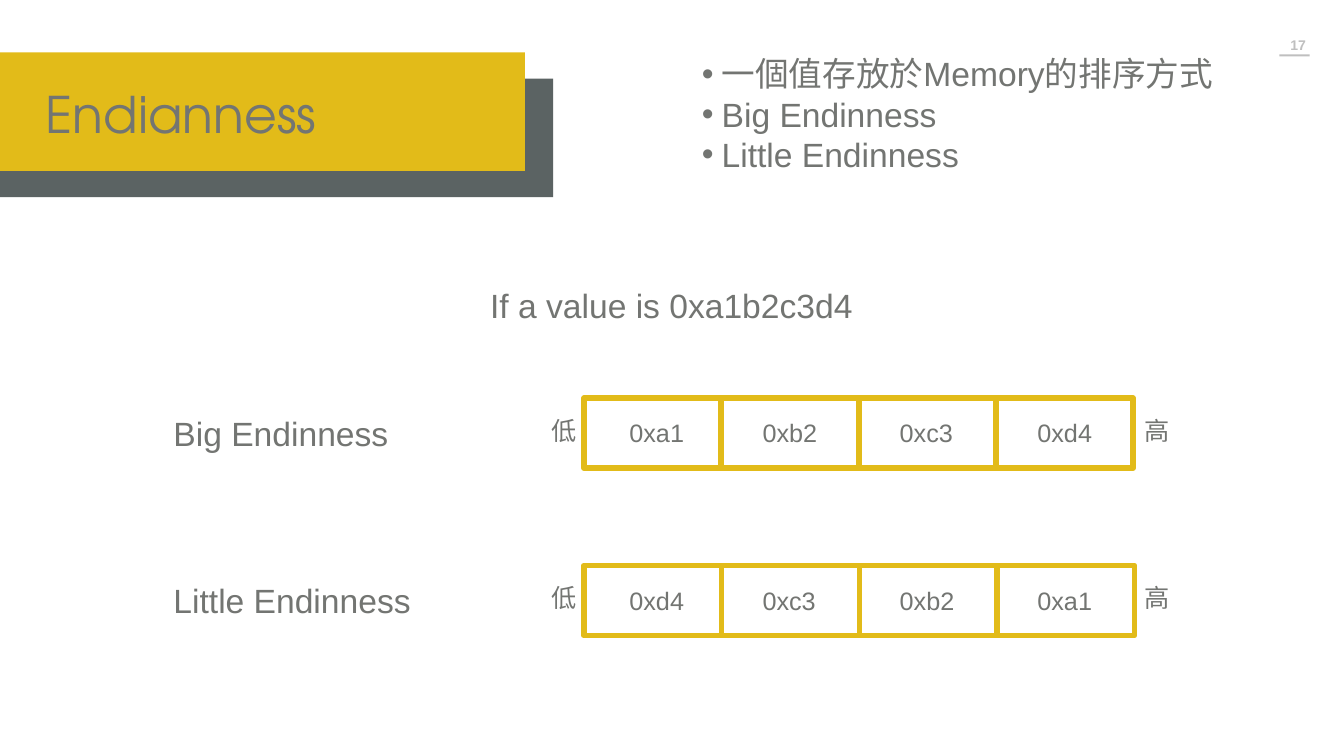
"""Build the Endianness slide with byte rows for both orders."""
from dataclasses import dataclass

from lxml import etree
from pptx import Presentation
from pptx import util as u
from pptx.dml.color import RGBColor
from pptx.enum import shapes, text
from pptx.oxml import ns

COLORS = {"gold": "E2BB19", "slate": "333C3C", "gray": "737572", "pale": "BFBFBF"}
BODY = {"name": "Arial", "size": u.Pt(48)}
SMALL = {**BODY, "size": u.Pt(36)}
TITLE = {"name": "TeX Gyre Adventor", "size": u.Pt(72)}
NUMBER = {**BODY, "size": u.Pt(20), "bold": True}
CELL_LEFT, CELL_W, CELL_H = 11.58, 2.73, 1.39
BYTE_LEFTS = (12.43, 15.07, 17.79, 20.52)


@dataclass
class Block:
    left: float
    top: float
    width: float
    height: float
    color: str
    alpha: int = 100


@dataclass
class Label:
    lines: tuple[str, ...]
    left: float
    top: float
    width: float
    height: float
    font: dict
    color: str = "gray"
    inset: float = 0.05
    wrap: bool = False
    bullet: bool = False
    align: text.PP_ALIGN = text.PP_ALIGN.LEFT


@dataclass
class ByteRow:
    name: str
    name_width: float
    top: float
    pitch: float
    values: tuple[str, ...]


BLOCKS = (
    Block(-0.34, 1.56, 11.31, 2.35, "slate", 80),
    Block(-0.23, 1.04, 10.64, 2.35, "gold"),
    Block(25.37, 1.08, 0.6, 0.04, "pale"),
)
LABELS = (
    Label(("Endianness",), 0.86, 1.59, 5.76, 1.25, TITLE),
    Label(("一個值存放於Memory的排序方式", "Big Endinness", "Little Endinness"),
          13.87, 1.01, 10.43, 2.64, BODY, wrap=True, bullet=True),
    Label(("If a value is 0xa1b2c3d4",), 9.67, 5.6, 7.3, 0.91, BODY),
    Label(("17",), 25.48, 0.62, 0.52, 0.53, NUMBER, "pale", 0.1,
          align=text.PP_ALIGN.CENTER),
)
ROWS = (
    ByteRow("Big Endinness", 4.38, 7.9, 2.72, ("0xa1", "0xb2", "0xc3", "0xd4")),
    ByteRow("Little Endinness", 4.82, 11.22, 2.73, ("0xd4", "0xc3", "0xb2", "0xa1")),
)


def rgb(name: str) -> RGBColor:
    return RGBColor.from_string(COLORS[name])


def add_rect(s, left: float, top: float, width: float, height: float):
    sp = s.shapes.add_shape(shapes.MSO_SHAPE.RECTANGLE, u.Inches(left), u.Inches(top),
                            u.Inches(width), u.Inches(height))
    sp.shadow.inherit = False
    return sp


def add_block(s, block: Block) -> None:
    sp = add_rect(s, block.left, block.top, block.width, block.height)
    sp.fill.solid()
    sp.fill.fore_color.rgb = rgb(block.color)
    sp.line.fill.background()
    if block.alpha < 100:
        clr = sp._element.spPr.find(".//" + ns.qn("a:srgbClr"))
        etree.SubElement(clr, ns.qn("a:alpha"), val=str(block.alpha * 1000))


def add_cell(s, left: float, top: float) -> None:
    sp = add_rect(s, left, top, CELL_W, CELL_H)
    sp.fill.background()
    sp.line.color.rgb = rgb("gold")
    sp.line.width = u.Pt(8)


def add_bullet(p) -> None:
    pPr = p._p.get_or_add_pPr()
    pPr.set("marL", str(u.Inches(0.39)))
    pPr.set("indent", str(u.Inches(-0.39)))
    etree.SubElement(pPr, ns.qn("a:buFont"), typeface="Arial")
    etree.SubElement(pPr, ns.qn("a:buChar"), char="•")


def add_label(s, label: Label) -> None:
    sp = s.shapes.add_textbox(u.Inches(label.left), u.Inches(label.top),
                              u.Inches(label.width), u.Inches(label.height))
    tf = sp.text_frame
    tf.word_wrap = label.wrap
    for side in ("left", "right", "top", "bottom"):
        setattr(tf, f"margin_{side}", u.Inches(label.inset))
    for i, line in enumerate(label.lines):
        p = tf.add_paragraph() if i else tf.paragraphs[0]
        p.alignment = label.align
        if label.bullet:
            add_bullet(p)
        r = p.add_run()
        r.text = line
        for key, value in label.font.items():
            setattr(r.font, key, value)
        r.font.color.rgb = rgb(label.color)


def add_row(s, row: ByteRow) -> None:
    add_label(s, Label((row.name,), 3.39, row.top + 0.24, row.name_width, 0.91, BODY))
    for i, (value, left) in enumerate(zip(row.values, BYTE_LEFTS)):
        add_cell(s, CELL_LEFT + i * row.pitch, row.top)
        add_label(s, Label((value,), left, row.top + 0.34, 1.2, 0.7, SMALL))
    for end, left in (("低", 10.89), ("高", 22.65)):
        add_label(s, Label((end,), left, row.top + 0.29, 0.61, 0.79, SMALL))


def main() -> None:
    prs = Presentation()
    prs.slide_width, prs.slide_height = u.Inches(26.65), u.Inches(15)
    s = prs.slides.add_slide(prs.slide_layouts[6])
    for block in BLOCKS:
        add_block(s, block)
    for label in LABELS:
        add_label(s, label)
    for row in ROWS:
        add_row(s, row)
    prs.save("out.pptx")


if __name__ == "__main__":
    main()
